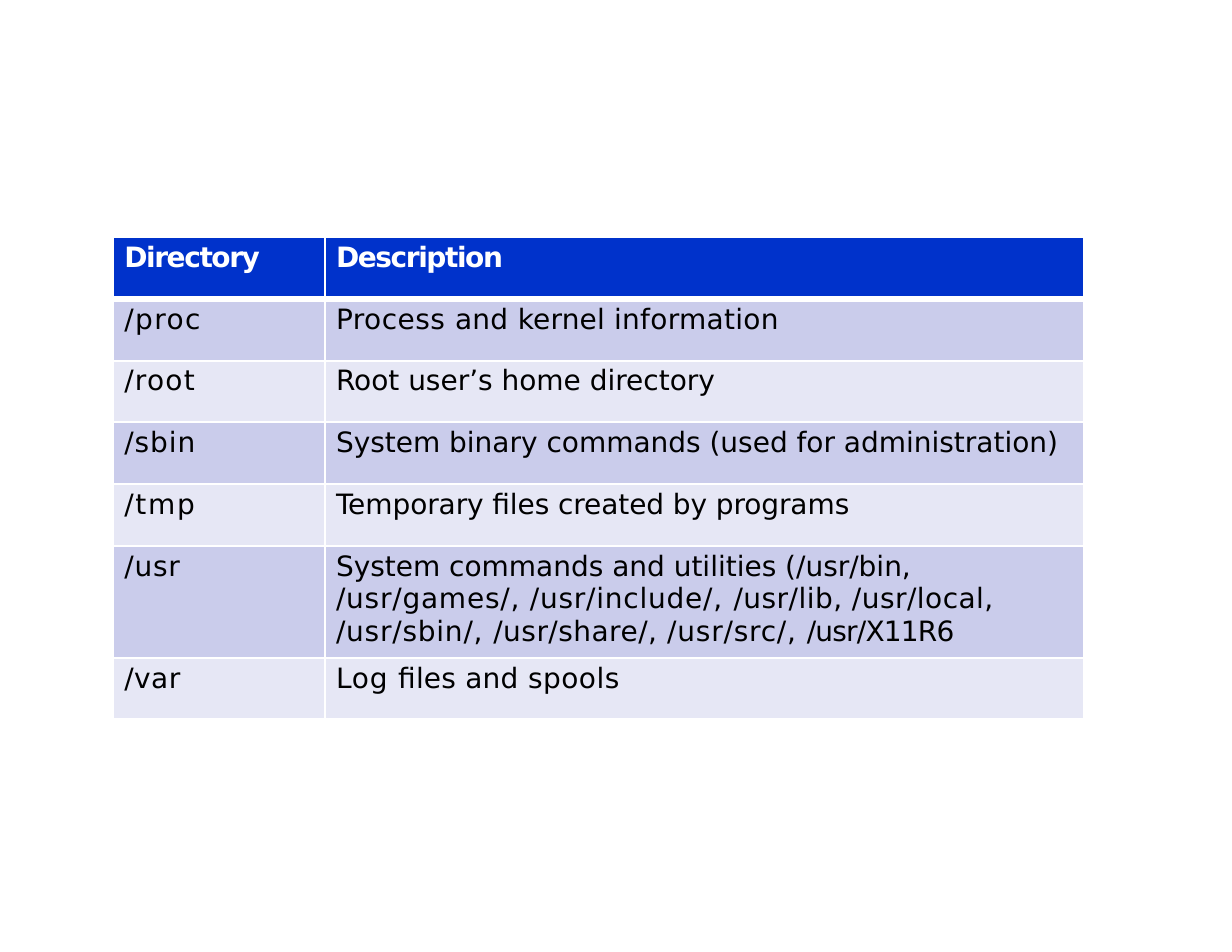
from dataclasses import dataclass
from typing import NamedTuple

import pptx
import pptx.dml.color
import pptx.oxml
import pptx.oxml.ns
import pptx.util
from lxml import etree

Cm, Pt = pptx.util.Cm, pptx.util.Pt


@dataclass(frozen=True)
class Theme:
    font: str = "DejaVu Sans"
    size: float = 18
    header_fill: str = "0032CB"
    band_fills: tuple = ("CACCEB", "E6E7F5")
    header_text: str = "FFFFFF"
    body_text: str = "000000"
    rule: str = "FFFFFF"
    thin: float = 1
    normal: float = 1.5
    thick: float = 4.25


class Span(NamedTuple):
    text: str
    spacing: float = 0  # points between letters


class Entry(NamedTuple):
    directory: Span
    lines: list  # one list of spans per paragraph
    height: float = 1.4  # centimetres


THEME = Theme()
LEFT, TOP = 2.57, 5.38
COLUMNS = (4.8, 17.2)

ENTRIES = [
    Entry(Span("Directory", -0.9), [[Span("Description", -0.9)]]),
    Entry(Span("/proc", 0.9), [[Span("Process ", 0.3), Span("and ", 0.2),
                                Span("kernel ", 0.1), Span("information", 0.2)]]),
    Entry(Span("/root", 0.8), [[Span("Root user’s home directory")]]),
    Entry(Span("/sbin", 0.6), [[Span("System binary commands (used for administration)")]]),
    Entry(Span("/tmp", 1.1), [[Span("Temporary files created by programs", -0.05)]]),
    Entry(Span("/usr", 0.5), [
        [Span("System commands and utilities (/usr/bin,")],
        [Span("/usr/games/, /usr/include/, ", 0.5), Span("/usr/lib, /usr/local,", 0.3)],
        [Span("/usr/sbin/, ", 0.5), Span("/usr/share/, ", 0.3),
         Span("/usr/src/, ", 0.5), Span("/usr/X11R6", -0.5)],
    ], 2.54),
    Entry(Span("/var", 0.3), [[Span("Log ", 0.5), Span("files ", 0.1),
                               Span("and ", 0.2), Span("spools", 0.3)]]),
]


def color(value: str) -> pptx.dml.color.RGBColor:
    return pptx.dml.color.RGBColor.from_string(value)


def set_borders(cell, widths: dict) -> None:
    """Draw the cell edges; widths maps L, R, T and B to points."""
    properties = cell._tc.get_or_add_tcPr()
    qn = pptx.oxml.ns.qn
    for side, width in widths.items():
        line = etree.SubElement(properties, qn(f"a:ln{side}"), w=str(int(Pt(width))))
        fill = etree.SubElement(line, qn("a:solidFill"))
        etree.SubElement(fill, qn("a:srgbClr"), val=THEME.rule)


def write_cell(cell, lines: list, row: int, last_column: bool) -> None:
    header = row == 0
    # Edges and fill
    set_borders(cell, {
        "L": THEME.normal,
        "R": THEME.thin if last_column else THEME.normal,
        "T": THEME.thick if row == 1 else THEME.normal,
        "B": THEME.thick if header else THEME.normal,
    })
    cell.fill.solid()
    cell.fill.fore_color.rgb = color(
        THEME.header_fill if header else THEME.band_fills[(row - 1) % 2])
    cell.margin_left = cell.margin_right = cell.margin_bottom = 0
    cell.margin_top = Cm(0.1)

    # Text
    frame = cell.text_frame
    for number, spans in enumerate(lines):
        para = frame.add_paragraph() if number else frame.paragraphs[0]
        para.space_before = Pt(0 if number else 2.75)
        para._p.get_or_add_pPr().set("marL", str(int(Cm(0.25))))
        for span in spans:
            run = para.add_run()
            run.text = span.text
            run.font.name = THEME.font
            run.font.size = Pt(THEME.size)
            run.font.bold = header
            run.font.color.rgb = color(THEME.header_text if header else THEME.body_text)
            run._r.get_or_add_rPr().set("spc", str(round(span.spacing * 100)))


def add_directory_table(page, entries: list) -> None:
    height = sum(entry.height for entry in entries)
    table = page.shapes.add_table(len(entries), len(COLUMNS), Cm(LEFT), Cm(TOP),
                                  Cm(sum(COLUMNS)), Cm(height)).table
    for column, width in zip(table.columns, COLUMNS):
        column.width = Cm(width)
    for row, entry in enumerate(entries):
        table.rows[row].height = Cm(entry.height)
        write_cell(table.cell(row, 0), [[entry.directory]], row, False)
        write_cell(table.cell(row, 1), entry.lines, row, True)


def main() -> None:
    deck = pptx.Presentation()
    deck.slide_width, deck.slide_height = Cm(27.94), Cm(21.59)
    page = deck.slides.add_slide(deck.slide_layouts[6])
    add_directory_table(page, ENTRIES)
    deck.save("out.pptx")


if __name__ == "__main__":
    main()
